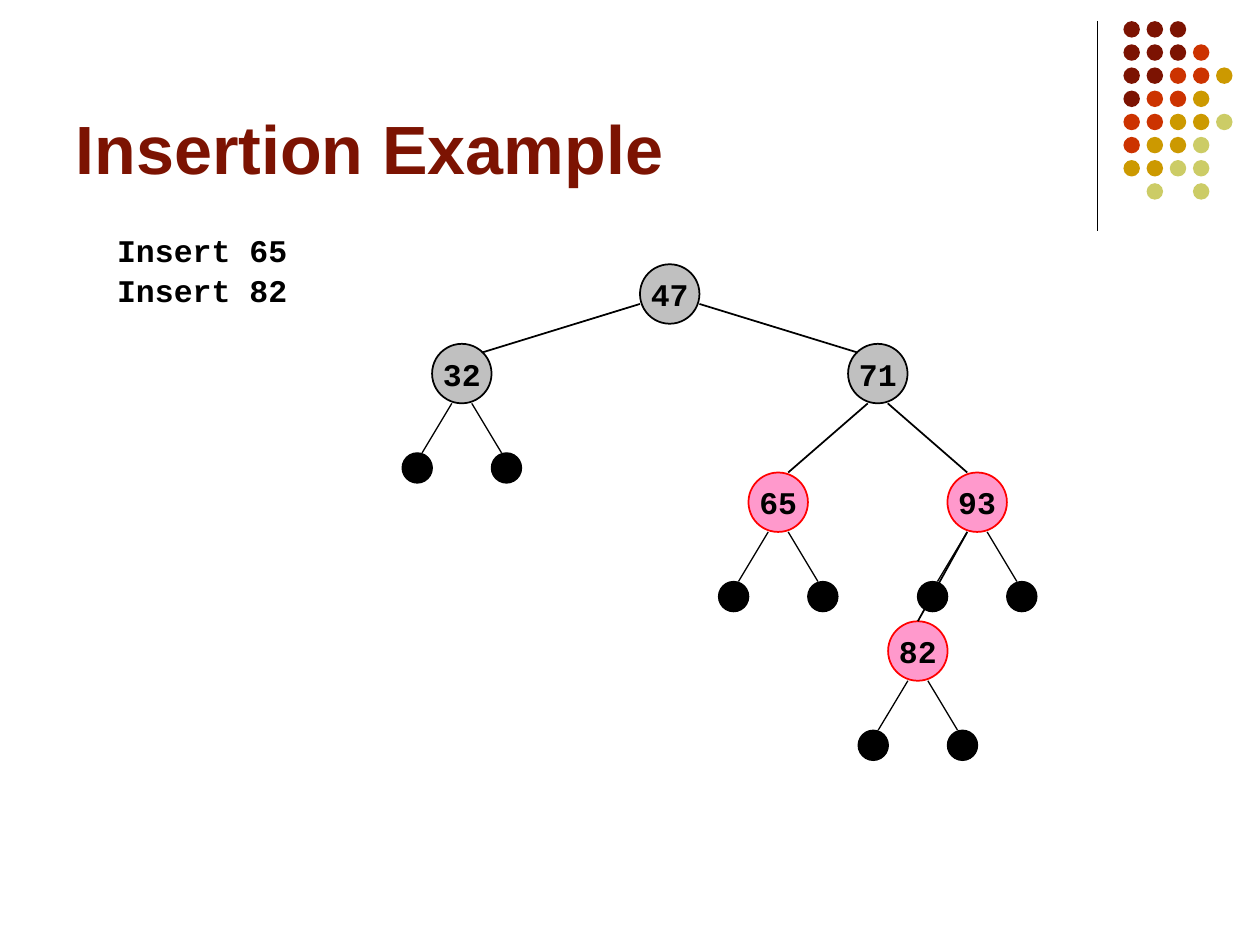
from pptx import Presentation
from pptx.dml.color import RGBColor
from pptx.enum.shapes import MSO_CONNECTOR, MSO_SHAPE
from pptx.enum.text import MSO_ANCHOR, PP_ALIGN
from pptx.oxml.ns import qn
from pptx.util import Pt
from lxml.etree import SubElement

BLACK = RGBColor(0x00, 0x00, 0x00)
GREY = RGBColor(0xC0, 0xC0, 0xC0)
PINK = RGBColor(0xFF, 0x99, 0xCC)
RED = RGBColor(0xFF, 0x00, 0x00)
MAROON = RGBColor(0x7C, 0x13, 0x02)
RUST = RGBColor(0xCC, 0x33, 0x00)
GOLD = RGBColor(0xCC, 0x99, 0x00)
OLIVE = RGBColor(0xCC, 0xCC, 0x66)

DOT_COLOURS = {"M": MAROON, "R": RUST, "G": GOLD, "O": OLIVE}
DOT_ROWS = ["MMM", "MMMR", "MMRRG", "MRRG", "RRGGO", "RGGO", "GGOO", " O O"]
DOT_SIZE, DOT_PITCH = 9.4, 13.23

NODE_SIZE, LEAF_SIZE = 34, 17.2
RADIUS = NODE_SIZE / 2
STEM = 5.7        # horizontal offset of an edge where it leaves a node's bottom
LEAF_DX = 25.5    # horizontal offset of a leaf's centre from its parent
LEAF_DROP = 28.3  # gap between a node's bottom and its leaves

# value: (centre x, centre y, fill, outline)
NODES = {
    "47": (382.7, 168, GREY, BLACK),
    "32": (263.9, 213.5, GREY, BLACK),
    "71": (501.6, 213.5, GREY, BLACK),
    "65": (444.7, 287, PINK, RED),
    "93": (558.4, 287, PINK, RED),
    "82": (524.5, 372, PINK, RED),
}
# value: sides on which a leaf hangs
LEAVES = {"32": (-1, 1), "65": (-1, 1), "93": (-1, 1), "82": (-1, 1)}


def style_text(tf, font, size, colour):
    for r in tf.paragraphs[0].runs:
        r.font.name = font
        r.font.size = Pt(size)
        r.font.bold = True
        r.font.color.rgb = colour


def add_line(slide, x1, y1, x2, y2, width=1):
    line = slide.shapes.add_connector(
        MSO_CONNECTOR.STRAIGHT, Pt(x1), Pt(y1), Pt(x2), Pt(y2))
    line.line.color.rgb = BLACK
    line.line.width = Pt(width)
    SubElement(line._element.spPr, qn("a:effectLst"))


def add_circle(slide, cx, cy, size, fill, outline=None, width=1):
    sp = slide.shapes.add_shape(
        MSO_SHAPE.OVAL, Pt(cx - size / 2), Pt(cy - size / 2), Pt(size), Pt(size))
    sp.shadow.inherit = False
    sp.fill.solid()
    sp.fill.fore_color.rgb = fill
    if outline is None:
        sp.line.fill.background()
    else:
        sp.line.color.rgb = outline
        sp.line.width = Pt(width)
    return sp


def add_title(slide, text):
    title = slide.shapes.title
    title.left, title.top, title.width, title.height = Pt(36), Pt(9.4), Pt(594), Pt(102)
    tf = title.text_frame
    tf.text = text
    tf.vertical_anchor = MSO_ANCHOR.BOTTOM
    tf.paragraphs[0].alignment = PP_ALIGN.LEFT
    style_text(tf, "Arial", 39, MAROON)


def add_step(slide, text, top):
    tf = slide.shapes.add_textbox(Pt(59.8), Pt(top), Pt(187), Pt(28.8)).text_frame
    tf.word_wrap = True
    tf.text = text
    style_text(tf, "Courier New", 18, BLACK)


def add_node(slide, value):
    cx, cy, fill, outline = NODES[value]
    tf = add_circle(slide, cx, cy, NODE_SIZE, fill, outline).text_frame
    tf.margin_left = tf.margin_right = tf.margin_top = tf.margin_bottom = 0
    tf.word_wrap = False
    tf.vertical_anchor = MSO_ANCHOR.MIDDLE
    tf.text = value
    tf.paragraphs[0].alignment = PP_ALIGN.CENTER
    style_text(tf, "Courier New", 18, BLACK)


def add_leaf(slide, parent, side):
    """Hang a black leaf below a node; side is -1 for left, 1 for right."""
    cx, cy = NODES[parent][:2]
    bottom = cy + RADIUS
    top = bottom + LEAF_DROP
    add_line(slide, cx + side * STEM, bottom, cx + side * (LEAF_DX - 2.8), top, 0.75)
    add_circle(slide, cx + side * LEAF_DX, top + LEAF_SIZE / 2,
               LEAF_SIZE, BLACK, BLACK, 0.75)


def add_edges(slide):
    root_x, root_y = NODES["47"][:2]
    for child, side in (("32", -1), ("71", 1)):
        x, y = NODES[child][:2]
        add_line(slide, root_x + side * RADIUS, root_y + STEM,
                 x - side * 2 * STEM, y - 12)
    # (parent, child, side of the parent, offset at the child's top)
    for parent, child, side, shift in (
            ("71", "65", -1, STEM), ("71", "93", 1, -STEM), ("93", "82", -1, 0)):
        px, py = NODES[parent][:2]
        x, y = NODES[child][:2]
        add_line(slide, px + side * STEM, py + RADIUS, x + shift, y - RADIUS)


def add_corner_dots(slide):
    add_line(slide, 627, 12, 627, 132, 0.75)
    for row, codes in enumerate(DOT_ROWS):
        for col, code in enumerate(codes):
            if code in DOT_COLOURS:
                add_circle(slide, 646.7 + col * DOT_PITCH, 16.8 + row * DOT_PITCH,
                           DOT_SIZE, DOT_COLOURS[code])


def main():
    prs = Presentation()
    prs.slide_width, prs.slide_height = Pt(720), Pt(540)
    slide = prs.slides.add_slide(prs.slide_layouts[5])
    add_corner_dots(slide)
    add_title(slide, "Insertion Example")
    add_step(slide, "Insert 65", 128.4)
    add_step(slide, "Insert 82", 151.1)
    for value in NODES:
        add_node(slide, value)
    add_edges(slide)
    for parent, sides in LEAVES.items():
        for side in sides:
            add_leaf(slide, parent, side)
    prs.save("out.pptx")


if __name__ == "__main__":
    main()
